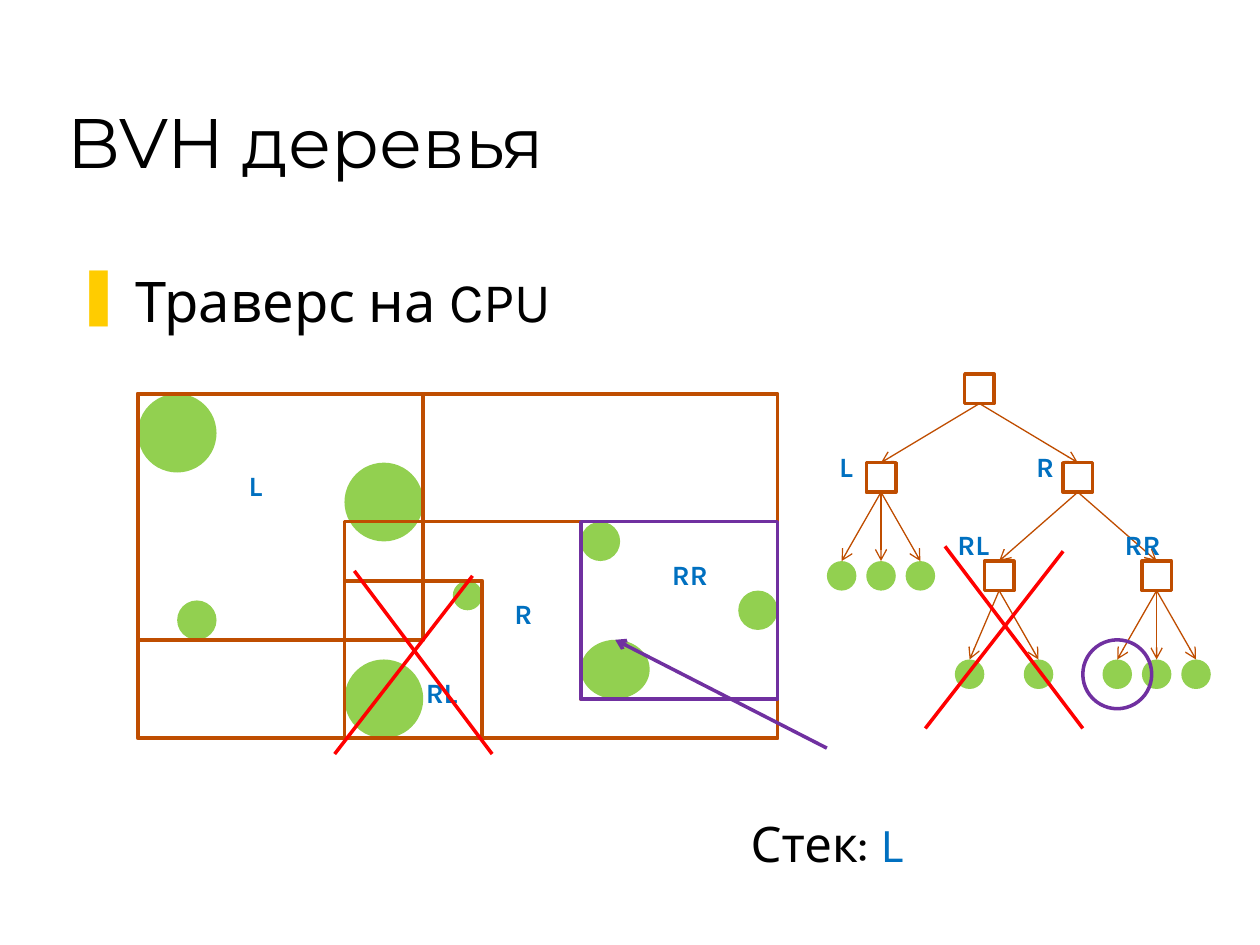
from dataclasses import dataclass

from lxml import etree
from pptx import Presentation
from pptx.dml.color import RGBColor
from pptx.enum.shapes import MSO_CONNECTOR, MSO_SHAPE
from pptx.enum.text import MSO_ANCHOR, MSO_AUTO_SIZE
from pptx.oxml.ns import qn
from pptx.util import Inches, Pt

RECT, OVAL = MSO_SHAPE.RECTANGLE, MSO_SHAPE.OVAL
STRAIGHT = MSO_CONNECTOR.STRAIGHT
TOP, BOTTOM = MSO_ANCHOR.TOP, MSO_ANCHOR.BOTTOM
FIT_SHAPE = MSO_AUTO_SIZE.SHAPE_TO_FIT_TEXT
TOP_SIDE, BOTTOM_SIDE = 0, 2
COLUMNS = 128
NODE = 3


@dataclass(frozen=True)
class Theme:
    """Colours, fonts, type sizes and line widths of the slide."""
    ink: str = "000000"
    bullet: str = "FFCC00"
    sphere: str = "92D050"
    box: str = "BF4D00"
    label: str = "0070C0"
    current: str = "7030A0"
    rejected: str = "FF0000"
    heading_font: str = "Montserrat"
    body_font: str = "Karla"
    title_size: int = 40
    body_size: int = 32
    stack_size: int = 28
    label_size: int = 16
    thick: float = 2
    thin: float = 0.75


def add_run(paragraph, text, *, size, color, font, bold=False):
    """Append a formatted run to a paragraph."""
    run = paragraph.add_run()
    run.text = text
    run.font.size = Pt(size)
    run.font.name = font
    run.font.bold = bold
    run.font.color.rgb = RGBColor.from_string(color)


class Canvas:
    """Draws on one slide in units of a square grid."""

    def __init__(self, presentation, theme):
        """Add a blank slide and size its grid."""
        self.theme = theme
        self.unit = presentation.slide_width / COLUMNS
        self.shapes = presentation.slides.add_slide(presentation.slide_layouts[6]).shapes

    def grid(self, *lengths):
        """Turn grid lengths into slide lengths."""
        return [round(length * self.unit) for length in lengths]

    def text(self, area, anchor=TOP, fit=False):
        """Add a wrapping text box and return its first paragraph."""
        frame = self.shapes.add_textbox(*self.grid(*area)).text_frame
        frame.word_wrap = True
        frame.vertical_anchor = anchor
        if fit:
            frame.auto_size = FIT_SHAPE
        return frame.paragraphs[0]

    def label(self, text, left, top, width=8):
        """Name a bounding box or a tree node."""
        theme = self.theme
        add_run(self.text((left, top, width, 4.74), fit=True), text, size=theme.label_size,
                color=theme.label, font=theme.body_font, bold=True)

    def outline(self, area, color, kind=RECT):
        """Add an unfilled shape with a thick border."""
        shape = self.shapes.add_shape(kind, *self.grid(*area))
        shape.shadow.inherit = False
        shape.fill.background()
        shape.line.color.rgb = RGBColor.from_string(color)
        shape.line.width = Pt(self.theme.thick)
        return shape

    def sphere(self, left, top, width, height):
        """Add a filled scene object or leaf."""
        shape = self.shapes.add_shape(OVAL, *self.grid(left, top, width, height))
        shape.shadow.inherit = False
        shape.fill.solid()
        shape.fill.fore_color.rgb = RGBColor.from_string(self.theme.sphere)
        shape.line.fill.background()
        return shape

    def line(self, start, end, color, width, arrow=False):
        """Add a straight line, with an arrowhead at its end if asked."""
        line = self.shapes.add_connector(STRAIGHT, *self.grid(*start, *end))
        line.line.color.rgb = RGBColor.from_string(color)
        line.line.width = Pt(width)
        properties = line._element.spPr
        if arrow:
            etree.SubElement(properties.find(qn("a:ln")), qn("a:tailEnd"), type="arrow")
        etree.SubElement(properties, qn("a:effectLst"))
        return line

    def branch(self, parent, child):
        """Join a parent node to its child."""
        line = self.line((0, 0), (1, 1), self.theme.box, self.theme.thin, arrow=True)
        line.begin_connect(parent, BOTTOM_SIDE)
        line.end_connect(child, TOP_SIDE)

    def bullet(self, paragraph, symbol, color, indent):
        """Give a paragraph a coloured hanging bullet."""
        properties = paragraph._p.get_or_add_pPr()
        properties.set("marL", str(Inches(indent)))
        properties.set("indent", str(-Inches(indent)))
        bullet_color = etree.SubElement(properties, qn("a:buClr"))
        etree.SubElement(bullet_color, qn("a:srgbClr"), val=color)
        etree.SubElement(properties, qn("a:buChar"), char=symbol)


def draw_headings(canvas, theme):
    """Write the title and the topic line."""
    add_run(canvas.text((5.6, 3.2, 108.8, 16), BOTTOM), "BVH деревья",
            size=theme.title_size, color=theme.ink, font=theme.heading_font)
    topic = canvas.text((6.4, 26.4, 114.4, 58.4))
    canvas.bullet(topic, "❚", theme.bullet, 0.48)
    add_run(topic, "Траверс на CPU", size=theme.body_size, color=theme.ink, font=theme.body_font)


def draw_scene(canvas, theme, current_box):
    """Draw the spheres and their bounding boxes."""
    for sphere in ((75, 60, 4, 4), (59, 53, 4, 4), (59, 65, 7, 6), (46, 59, 3, 3),
                   (14, 40, 8, 8), (18, 61, 4, 4), (35, 47, 8, 8), (35, 67, 8, 8)):
        canvas.sphere(*sphere)
    for box in ((14, 40, 65, 35), (14, 40, 29, 25), (35, 59, 14, 16),
                current_box, (35, 53, 44, 22)):
        canvas.outline(box, theme.box)


def draw_tree(canvas, theme):
    """Draw the hierarchy from its root to its leaves."""
    places = {"root": (98, 38), "L": (88, 47), "R": (108, 47), "RL": (100, 57), "RR": (116, 57)}
    nodes = {name: canvas.outline((*place, NODE, NODE), theme.box)
             for name, place in places.items()}
    for parent, child in (("root", "L"), ("root", "R"), ("R", "RL"), ("R", "RR")):
        canvas.branch(nodes[parent], nodes[child])
    for parent, top, columns in (("L", 57, (84, 88, 92)), ("RL", 67, (97, 104)),
                                 ("RR", 67, (112, 116, 120))):
        for left in columns:
            canvas.branch(nodes[parent], canvas.sphere(left, top, NODE, NODE))


def draw_traversal(canvas, theme, current_box):
    """Mark the visited box, the stack and the rejected parts."""
    canvas.line((84, 76), (62.5, 65), theme.current, theme.thick, arrow=True)
    canvas.outline((110, 65, 7, 7), theme.current, OVAL)
    canvas.outline(current_box, theme.current)
    stack = canvas.text((75, 82, 30, 7.3), fit=True)
    for text, color in (("Стек: ", theme.ink), ("L", theme.label)):
        add_run(stack, text, size=theme.stack_size, color=color, font=theme.body_font)
    for left, top, bottom in ((94, 55.5, 74), (34, 58, 76.6)):
        canvas.line((left + 2, top), (left + 16, bottom), theme.rejected, theme.thick)
        canvas.line((left + 14, top + 0.5), (left, bottom), theme.rejected, theme.thick)


def main():
    """Build the slide and save it."""
    presentation = Presentation()
    presentation.slide_width, presentation.slide_height = Inches(10), Inches(7.5)
    theme = Theme()
    canvas = Canvas(presentation, theme)
    current_box = (59, 53, 20, 18)
    draw_headings(canvas, theme)
    draw_scene(canvas, theme, current_box)
    draw_tree(canvas, theme)
    for label in (("L", 24, 47), ("R", 51, 60), ("RL", 42, 68), ("RR", 67, 56, 10),
                  ("L", 84, 45, 5), ("R", 104, 45), ("RL", 96, 53), ("RR", 113, 53)):
        canvas.label(*label)
    draw_traversal(canvas, theme, current_box)
    presentation.save("out.pptx")


if __name__ == "__main__":
    main()
